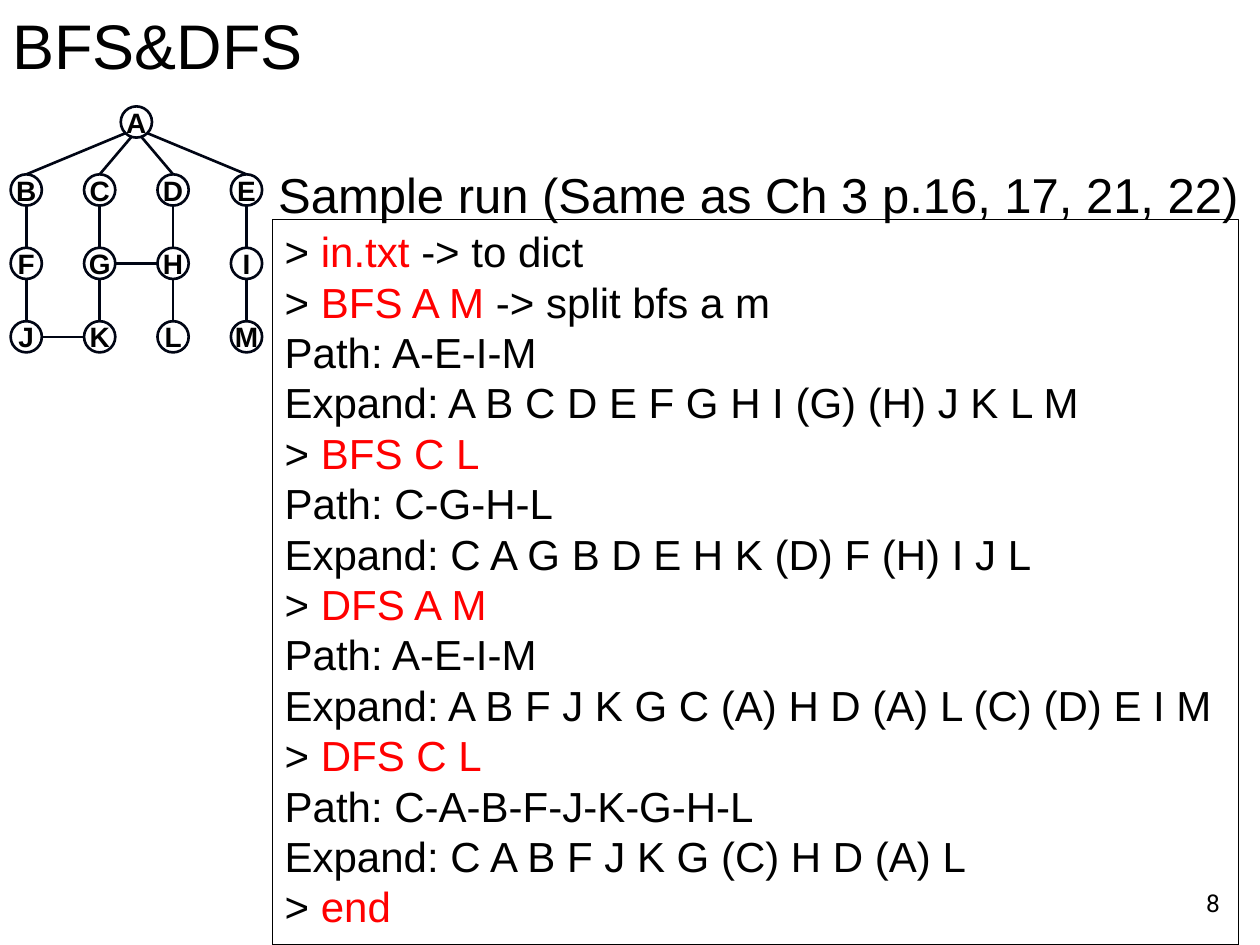
from dataclasses import dataclass
from math import copysign

from lxml.etree import SubElement
from pptx import Presentation
from pptx.dml.color import RGBColor
from pptx.enum.shapes import MSO_CONNECTOR, MSO_SHAPE
from pptx.enum.text import MSO_ANCHOR, PP_ALIGN
from pptx.oxml.ns import qn
from pptx.util import Cm, Pt


@dataclass(frozen=True)
class Theme:
    ink: RGBColor = RGBColor(0, 0, 0)
    command: RGBColor = RGBColor(255, 0, 0)
    graph: RGBColor = RGBColor(0x00, 0x05, 0x14)
    font: str = "Arial"
    number_font: str = "Roboto"
    title: int = 36
    heading: int = 28
    body: int = 24
    node: int = 16
    number: int = 14


THEME = Theme()

TITLE = "BFS&DFS"
HEADING = "Sample run (Same as Ch 3 p.16, 17, 21, 22)"
PAGE_NUMBER = "8"
SAMPLE_RUN = [
    ("> ", "in.txt ", "-> to dict"),
    ("> ", "BFS A M ", "-> split bfs a m"),
    ("Path: A-E-I-M",),
    ("Expand: A B C D E F G H I (G) (H) J K L M",),
    ("> ", "BFS C L"),
    ("Path: C-G-H-L",),
    ("Expand: C A G B D E H K (D) F (H) I J L",),
    ("> ", "DFS A M"),
    ("Path: A-E-I-M",),
    ("Expand: A B F J K G C (A) H D (A) L (C) (D) E I M",),
    ("> ", "DFS C L"),
    ("Path: C-A-B-F-J-K-G-H-L",),
    ("Expand: C A B F J K G (C) H D (A) L",),
    ("> ", "end"),
]
ROOT = "A"
LEVELS = ["BCDE", "FGHI", "JKLM"]
SIDE_EDGES = ["GH", "JK"]

DIAMETER = 0.63
RADIUS = DIAMETER / 2
PITCH = 1.48
LEFT, TOP = 0.53, 3.83
ROOT_Y = 2.46


def write(shape, lines, size, font=THEME.font, bold=False, align=PP_ALIGN.LEFT,
          anchor=MSO_ANCHOR.TOP, wrap=True, insets=(0.25, 0.13, 0.25, 0.13)):
    frame = shape.text_frame
    frame.word_wrap = wrap
    frame.vertical_anchor = anchor
    (frame.margin_left, frame.margin_top,
     frame.margin_right, frame.margin_bottom) = map(Cm, insets)
    for index, line in enumerate(lines):
        para = frame.add_paragraph() if index else frame.paragraphs[0]
        para.alignment = align
        for position, text in enumerate(line):
            span = para.add_run()
            span.text = text
            span.font.name = font
            span.font.size = Pt(size)
            span.font.bold = bold
            span.font.color.rgb = THEME.command if position == 1 else THEME.ink


def add_text(page, place, text, size, **style):
    box = page.shapes.add_textbox(*map(Cm, place))
    write(box, [(text,)], size, **style)


def add_outline(shapes, kind, place, color, weight):
    shape = shapes.add_shape(kind, *map(Cm, place))
    shape.shadow.inherit = False
    shape.fill.background()
    shape.line.color.rgb = color
    shape.line.width = Pt(weight)
    return shape


def add_edge(shapes, start, end):
    edge = shapes.add_connector(MSO_CONNECTOR.STRAIGHT, *map(Cm, start + end))
    edge.line.color.rgb = THEME.graph
    edge.line.width = Pt(1.5)
    SubElement(edge.element.spPr, qn("a:effectLst"))


def add_graph(page):
    shapes = page.shapes.add_group_shape().shapes
    centers = {
        name: (LEFT + column * PITCH, TOP + row * PITCH)
        for row, level in enumerate(LEVELS)
        for column, name in enumerate(level)
    }
    root_x = LEFT + 1.5 * PITCH
    centers[ROOT] = (root_x, ROOT_Y)

    for name, (x, y) in centers.items():
        place = (x - RADIUS, y - RADIUS, DIAMETER, DIAMETER)
        node = add_outline(shapes, MSO_SHAPE.OVAL, place, THEME.graph, 1.5)
        write(node, [(name,)], THEME.node, bold=True, align=PP_ALIGN.CENTER,
              anchor=MSO_ANCHOR.MIDDLE, wrap=False, insets=(0, 0, 0, 0))

    for name in LEVELS[0]:
        x, y = centers[name]
        outer = abs(x - root_x) > PITCH
        reach, drop = (0.21, 0.22) if outer else (0.1, 0.3)
        start = (root_x + copysign(reach, x - root_x), ROOT_Y + drop)
        add_edge(shapes, start, (x, y - RADIUS))

    for upper, lower in zip(LEVELS, LEVELS[1:]):
        for parent, child in zip(upper, lower):
            x, y = centers[parent]
            add_edge(shapes, (x, y + RADIUS), (x, centers[child][1] - RADIUS))

    for first, second in SIDE_EDGES:
        x, y = centers[first]
        add_edge(shapes, (x + RADIUS, y), (centers[second][0] - RADIUS, y))


def main():
    deck = Presentation()
    deck.slide_width, deck.slide_height = Cm(25.4), Cm(19.05)
    page = deck.slides.add_slide(deck.slide_layouts[6])

    add_text(page, (19.56, 17.35, 5.28, 1.27), PAGE_NUMBER, THEME.number,
             font=THEME.number_font, align=PP_ALIGN.RIGHT,
             anchor=MSO_ANCHOR.BOTTOM)
    add_graph(page)
    run_box = add_outline(page.shapes, MSO_SHAPE.RECTANGLE,
                          (5.49, 4.42, 19.48, 14.63), THEME.ink, 0.75)
    write(run_box, SAMPLE_RUN, THEME.body)
    add_text(page, (5.36, 3.18, 20.45, 1.45), HEADING, THEME.heading)
    add_text(page, (0, 0, 8.69, 1.8), TITLE, THEME.title)

    deck.save("out.pptx")


if __name__ == "__main__":
    main()
